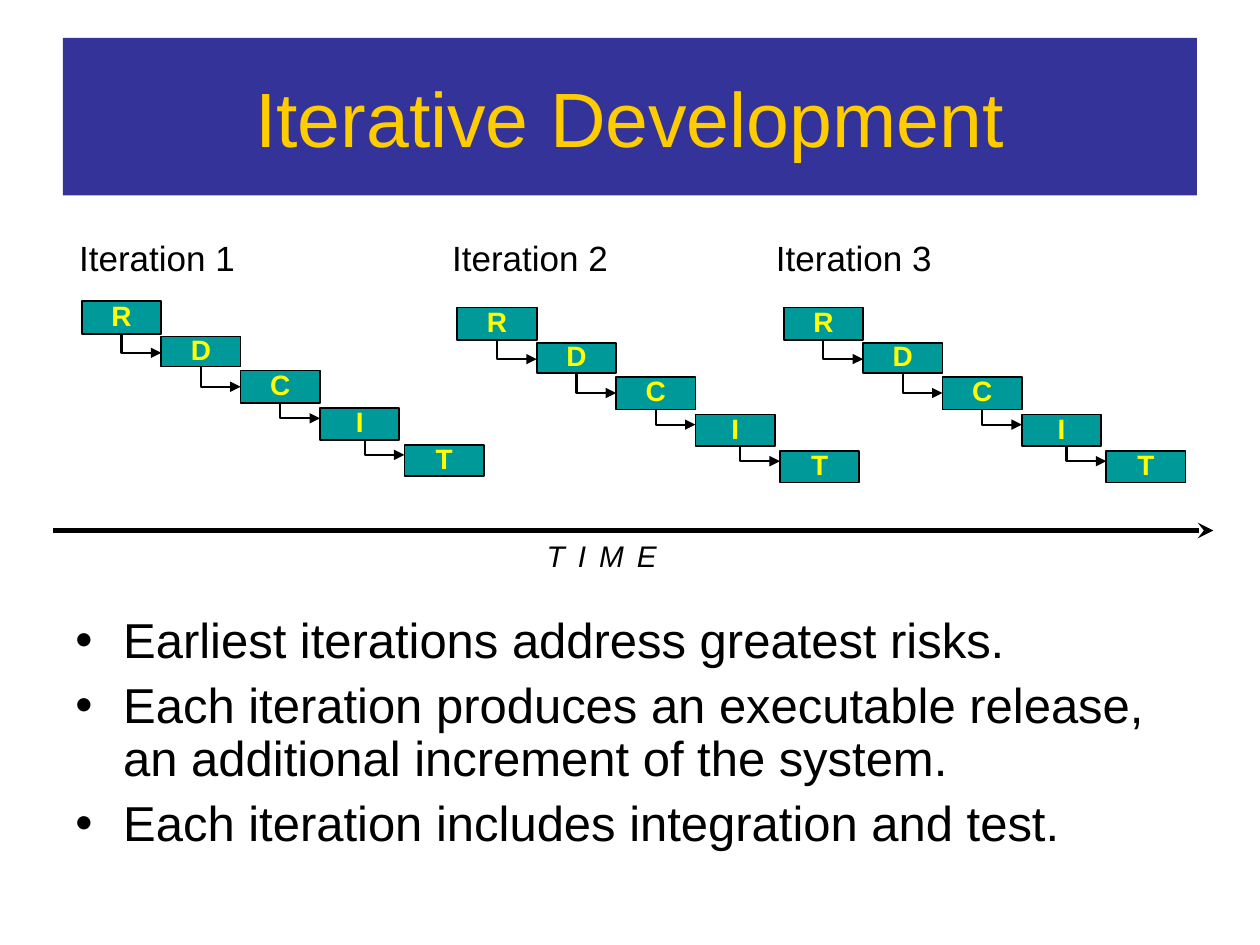
from lxml.etree import SubElement
from pptx import Presentation
from pptx.dml.color import RGBColor
from pptx.enum.shapes import MSO_CONNECTOR, MSO_SHAPE
from pptx.enum.text import MSO_ANCHOR, PP_ALIGN
from pptx.oxml.ns import qn
from pptx.util import Inches, Pt

NAVY = RGBColor(0x33, 0x33, 0x99)
GOLD = RGBColor(0xFF, 0xCC, 0x00)
TEAL = RGBColor(0x00, 0x99, 0x99)
YELLOW = RGBColor(0xFF, 0xFF, 0x00)
BLACK = RGBColor(0, 0, 0)

STEPS = [
    ("R", 0, 0, 0.26, 0),
    ("D", 0.63, 0.28, 0.24, 0.15),
    ("C", 1.26, 0.55, 0.26, 0.16),
    ("I", 1.89, 0.85, 0.25, 0.12),
    ("T", 2.56, 1.14, 0.25, 0.12),
]
CYCLES = [
    ("Iteration 1", 0.53, 0.65, 2.39),
    ("Iteration 2", 3.49, 3.63, 2.44),
    ("Iteration 3", 6.06, 6.22, 2.44),
]
POINTS = [
    "Earliest iterations address greatest risks.",
    "Each iteration produces an executable release, an additional increment of the system.",
    "Each iteration includes integration and test.",
]


def style(para, size, color, bold=False, italic=False):
    for run in para.runs:
        font = run.font
        font.name, font.size = "Arial", Pt(size)
        font.bold, font.italic = bold, italic
        font.color.rgb = color


def add_rect(slide, box, fill, text, size, color, bold=False):
    rect = slide.shapes.add_shape(MSO_SHAPE.RECTANGLE, *map(Inches, box))
    rect.shadow.inherit = False
    rect.fill.solid()
    rect.fill.fore_color.rgb = fill
    rect.line.fill.background()
    frame = rect.text_frame
    frame.text = text
    frame.vertical_anchor = MSO_ANCHOR.MIDDLE
    para = frame.paragraphs[0]
    para.alignment = PP_ALIGN.CENTER
    style(para, size, color, bold)
    return rect


def add_label(slide, box, text, size, italic=False):
    label = slide.shapes.add_textbox(*map(Inches, box))
    frame = label.text_frame
    frame.word_wrap = True
    frame.text = text
    style(frame.paragraphs[0], size, BLACK, italic=italic)
    return frame


def add_arrow(slide, kind, start, end, width, head):
    link = slide.shapes.add_connector(kind, *map(Inches, start + end))
    link.line.color.rgb = BLACK
    link.line.width = Pt(width)
    SubElement(link.line._get_or_add_ln(), qn("a:tailEnd"), type=head)
    SubElement(link._element.spPr, qn("a:effectLst"))
    return link


def add_elbow(slide, left, top, wide, drop):
    x, y = left + (wide - drop) / 2, top + (drop - wide) / 2
    link = add_arrow(slide, MSO_CONNECTOR.ELBOW, (x, y), (x + drop, y + wide), 1.25, "triangle")
    props = link._element.spPr
    props.find(qn("a:prstGeom")).set("prst", "bentConnector2")
    frame = props.find(qn("a:xfrm"))
    frame.set("rot", "16200000")
    frame.set("flipH", "1")


def add_stairs(slide, left, top):
    wide = 0.63
    base = 0
    for name, x, y, high, drop in STEPS:
        step = add_rect(slide, (left + x, top + y, wide, high), TEAL, name, 16, YELLOW, True)
        step.line.color.rgb = BLACK
        step.line.width = Pt(1)
        frame = step.text_frame
        frame.word_wrap = False
        frame.margin_top = frame.margin_bottom = Inches(0.04)
        frame.paragraphs[0].line_spacing = 0.87
        if drop:
            add_elbow(slide, left + x - wide / 2, top + base, wide / 2, drop)
        base = y + high


def add_time(slide, left, top, wide):
    add_arrow(slide, MSO_CONNECTOR.STRAIGHT, (left, top), (left + wide, top), 3, "stealth")
    frame = add_label(slide, (left + 3.82, top + 0.05, 1.2, 0.34), "T I M E", 17, True)
    frame.margin_top = frame.margin_bottom = Inches(0.04)
    para = frame.paragraphs[0]
    para.line_spacing = 0.9
    para.runs[0].font._element.set("spc", "135")


def add_points(slide, box):
    frame = add_label(slide, box, "\n".join(POINTS), 28)
    for para in frame.paragraphs:
        para.line_spacing = 0.9
        para.space_before = Pt(7)
        style(para, 28, BLACK)
        props = para._p.get_or_add_pPr()
        props.set("marL", str(Inches(0.38)))
        props.set("indent", str(-Inches(0.38)))
        SubElement(props, qn("a:buFont"), typeface="Arial")
        SubElement(props, qn("a:buChar"), char="•")


def main():
    deck = Presentation()
    deck.slide_width, deck.slide_height = Inches(10), Inches(7.5)
    slide = deck.slides.add_slide(deck.slide_layouts[6])
    add_rect(slide, (0.5, 0.3, 9, 1.25), NAVY, "Iterative Development", 44, GOLD)
    add_points(slide, (0.5, 4.84, 9, 2.41))
    add_time(slide, 0.42, 4.21, 9.21)
    for name, edge, left, top in CYCLES:
        add_label(slide, (edge, 1.83, 1.51, 0.44), name, 20)
        add_stairs(slide, left, top)
    deck.save("out.pptx")


if __name__ == "__main__":
    main()
